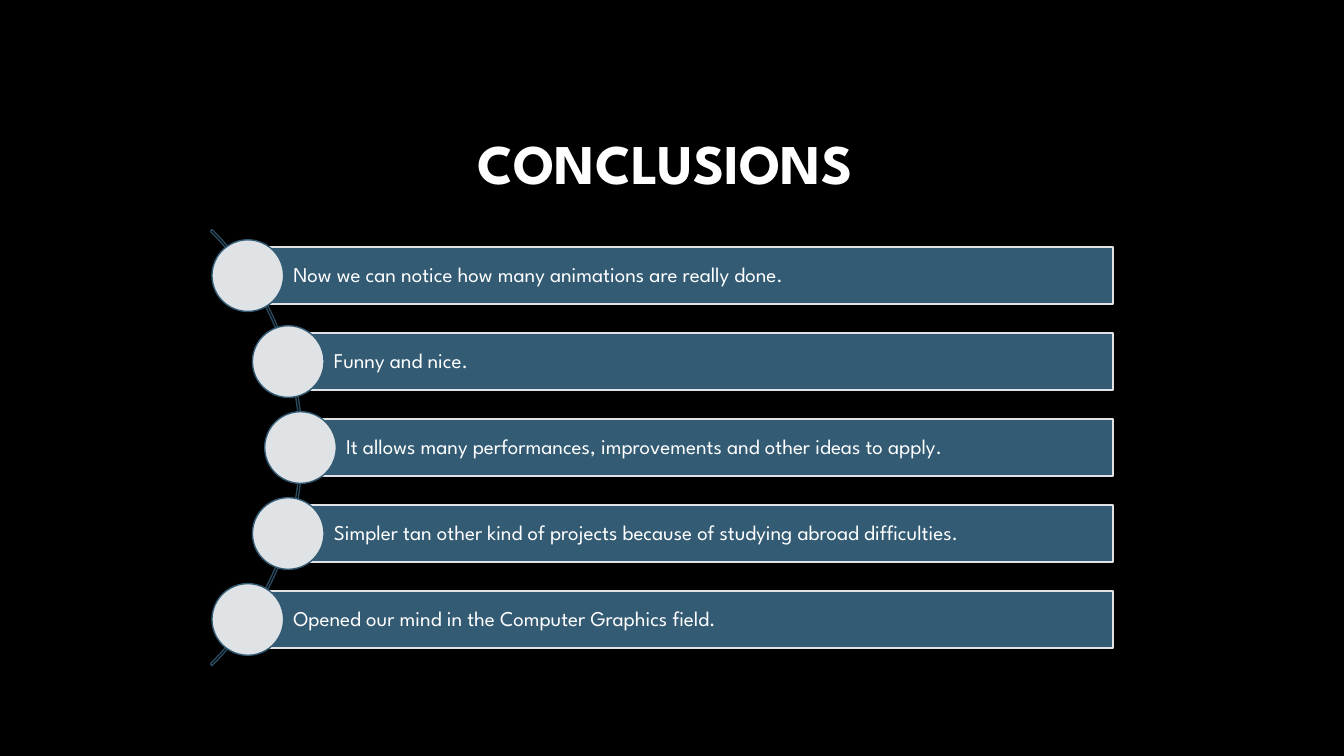
from math import sqrt

from pptx import Presentation
from pptx.dml.color import RGBColor
from pptx.enum.shapes import MSO_SHAPE
from pptx.enum.text import MSO_ANCHOR, PP_ALIGN
from pptx.util import Pt

# Content
HEADING = "CONCLUSIONS"
CONCLUSIONS = [
    "Now we can notice how many animations are really done.",
    "Funny and nice.",
    "It allows many performances, improvements and other ideas to apply.",
    "Simpler tan other kind of projects because of studying abroad difficulties.",
    "Opened our mind in the Computer Graphics field.",
]

FONT = "League Spartan"
BLACK = RGBColor(0x00, 0x00, 0x00)
WHITE = RGBColor(0xFF, 0xFF, 0xFF)
BLUE = RGBColor(0x33, 0x5B, 0x74)
DARK_BLUE = RGBColor(0x29, 0x49, 0x5D)
PALE = RGBColor(0xDF, 0xE3, 0xE5)

# Layout in points: the circles sit on a curve around a shared centre
CENTER_X, CENTER_Y = -4.3, 319.7
ARC_RADIUS, CIRCLE_CURVE_RADIUS = 220.3, 219
ROW_PITCH = 61.4
BAR_HEIGHT, BAR_RIGHT = 41, 795.2
CIRCLE_SIZE = 51.2


def add_part(kind, left, top, width, height, line_color, line_width, fill=None):
    part = slide.shapes.add_shape(kind, Pt(left), Pt(top), Pt(width), Pt(height))
    part.shadow.inherit = False
    if fill is None:
        part.fill.background()
    else:
        part.fill.solid()
        part.fill.fore_color.rgb = fill
    part.line.color.rgb = line_color
    part.line.width = Pt(line_width)
    return part


def write(frame, text, size, align, bold=False):
    frame.word_wrap = True
    frame.vertical_anchor = MSO_ANCHOR.MIDDLE
    paragraph = frame.paragraphs[0]
    paragraph.alignment = align
    paragraph.line_spacing = 0.9
    run = paragraph.add_run()
    run.text = text
    run.font.name = FONT
    run.font.size = Pt(size)
    run.font.bold = bold
    run.font.color.rgb = WHITE


prs = Presentation()
prs.slide_width, prs.slide_height = Pt(960), Pt(540)
slide = prs.slides.add_slide(prs.slide_layouts[5])
slide.background.fill.solid()
slide.background.fill.fore_color.rgb = BLACK

# Title
title = slide.shapes.title
title.left, title.top, title.width, title.height = Pt(136), Pt(68.4), Pt(678), Pt(101.5)
write(title.text_frame, HEADING, 40, PP_ALIGN.CENTER, bold=True)

# Curved line behind the circles, from 315 to 45 degrees
arc = add_part(MSO_SHAPE.BLOCK_ARC, CENTER_X - ARC_RADIUS, CENTER_Y - ARC_RADIUS,
               2 * ARC_RADIUS, 2 * ARC_RADIUS, DARK_BLUE, 1)
for index, value in enumerate((189, 27, 0.004)):
    arc.adjustments[index] = value

# One bar and circle per conclusion
for row, conclusion in enumerate(CONCLUSIONS):
    offset = (row - (len(CONCLUSIONS) - 1) / 2) * ROW_PITCH
    x = CENTER_X + sqrt(CIRCLE_CURVE_RADIUS ** 2 - offset ** 2)
    y = CENTER_Y + offset

    bar = add_part(MSO_SHAPE.RECTANGLE, x, y - BAR_HEIGHT / 2,
                   BAR_RIGHT - x, BAR_HEIGHT, PALE, 1.5, BLUE)
    frame = bar.text_frame
    frame.margin_left = Pt(32.5)
    frame.margin_top = frame.margin_right = frame.margin_bottom = Pt(3)
    write(frame, conclusion, 15, PP_ALIGN.LEFT)

    add_part(MSO_SHAPE.OVAL, x - CIRCLE_SIZE / 2, y - CIRCLE_SIZE / 2,
             CIRCLE_SIZE, CIRCLE_SIZE, BLUE, 1, PALE)

prs.save("out.pptx")
